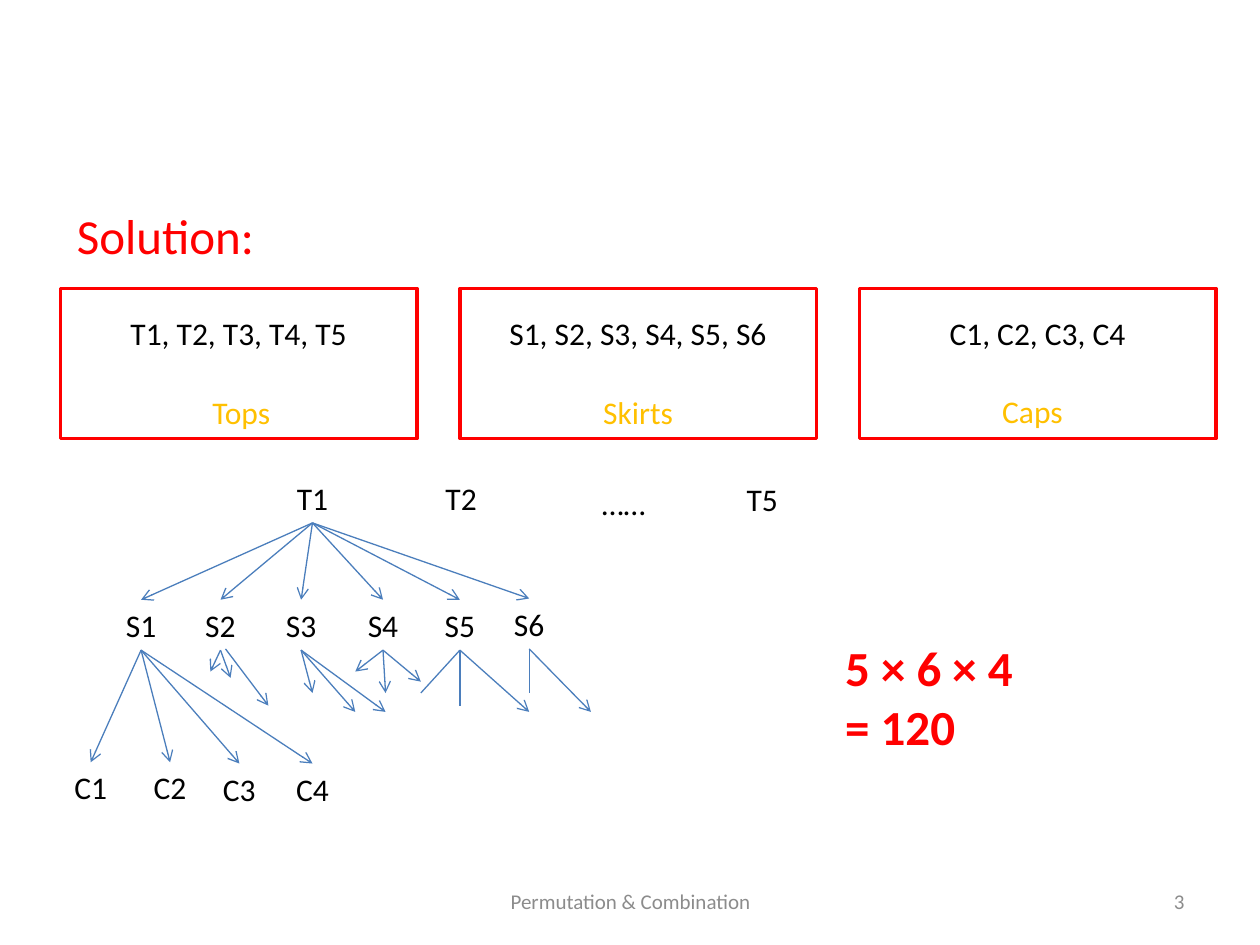
from dataclasses import dataclass

from lxml.etree import SubElement
from pptx import Presentation
from pptx.dml.color import RGBColor as Rgb
from pptx.enum.shapes import MSO_CONNECTOR as Link, MSO_SHAPE as Shape
from pptx.enum.text import MSO_ANCHOR as Anchor, PP_ALIGN as Align
from pptx.oxml.ns import qn
from pptx.util import Inches, Pt


@dataclass(frozen=True)
class Theme:
    font: str = "Calibri"
    ink: str = "000000"
    red: str = "FF0000"
    gold: str = "FFC000"
    blue: str = "4B7EBC"
    gray: str = "8C8C8C"
    big: int = 28
    body: int = 18
    small: int = 12
    frame: float = 2
    thin: float = 0.75


theme = Theme()


def color(code):
    return Rgb.from_string(code)


def write(shape, text, size=theme.body, ink=theme.ink, bold=False,
          align=Align.LEFT, anchor=Anchor.TOP, wrap=False):
    """Fill a shape with formatted text, one paragraph a line."""
    frame = shape.text_frame
    frame.text = text
    frame.word_wrap = wrap
    frame.vertical_anchor = anchor
    for para in frame.paragraphs:
        para.alignment = align
        font = para.runs[0].font
        font.name, font.size, font.bold = theme.font, Pt(size), bold
        font.color.rgb = color(ink)


def label(slide, text, x, y, w, h=Inches(0.4), **form):
    write(slide.shapes.add_textbox(x, y, w, h), text, **form)


def node(slide, text, x, y):
    """Label centred on x, wide enough for the longest on one line."""
    w = Inches(0.6)
    label(slide, text, x - w // 2, y, w, align=Align.CENTER)


def line(slide, start, end, head=True):
    link = slide.shapes.add_connector(Link.STRAIGHT, *start, *end)
    link.line.color.rgb = color(theme.blue)
    link.line.width = Pt(theme.thin)
    props = link._element.spPr
    if head:
        SubElement(props.find(qn("a:ln")), qn("a:tailEnd"), type="arrow")
    SubElement(props, qn("a:effectLst"))


def heading(slide, x, y, w, h):
    title = slide.shapes.title
    title.left, title.top, title.width, title.height = x, y, w, h
    write(title, "Solution:", size=theme.big, ink=theme.red)


def card(slide, x, y, w, h, items, name, shift, drop):
    """Framed set of choices with its name below."""
    box = slide.shapes.add_shape(Shape.RECTANGLE, x, y, w, h)
    box.shadow.inherit = False
    box.fill.background()
    box.line.color.rgb = color(theme.red)
    box.line.width = Pt(theme.frame)
    label(slide, items, x, y + Inches(0.15), w, align=Align.CENTER)
    label(slide, name, x + shift, y + drop, w, ink=theme.gold,
          align=Align.CENTER)


def cards(slide, x, y, w, h):
    gap = Inches(0.34)
    wide = (w - 2 * gap) // 3
    sets = [("T1, T2, T3, T4, T5", "Tops", 0.02, 0.78),
            ("S1, S2, S3, S4, S5, S6", "Skirts", 0, 0.78),
            ("C1, C2, C3, C4", "Caps", -0.04, 0.77)]
    for i, (items, name, shift, drop) in enumerate(sets):
        card(slide, x + i * (wide + gap), y, wide, h, items, name,
             Inches(shift), Inches(drop))


def tree(slide, x, y):
    """Choice tree: tops, then skirts, then caps."""
    def at(dx, dy):
        return x + Inches(dx), y + Inches(dy)

    tall = 0.4
    tops = [("T1", 2, 0), ("T2", 3.18, 0), ("……", 4.47, 0.04), ("T5", 5.57, 0.01)]
    skirts = [("S1", 0.64, 1.01), ("S2", 1.27, 1.01), ("S3", 1.91, 1.01),
              ("S4", 2.56, 1.01), ("S5", 3.17, 1.01), ("S6", 3.72, 1)]
    caps = [("C1", 0.24, 2.3), ("C2", 0.87, 2.3), ("C3", 1.42, 2.31),
            ("C4", 2, 2.31)]
    for text, dx, dy in tops + skirts + caps:
        node(slide, text, *at(dx, dy))

    # Full branches of the first top and the first skirt
    for (_, px, py), kids in ((tops[0], skirts), (skirts[0], caps)):
        for _, dx, dy in kids:
            line(slide, at(px, py + tall), at(dx, dy))

    # Short branches of the other skirts: end x, end y, arrowhead
    stubs = [
        [(1.19, 1.58, True), (1.35, 1.63, True)],
        [(2.34, 1.9, True), (2, 1.75, True), (2.58, 1.9, True)],
        [(2.34, 1.58, True), (2.58, 1.75, True), (2.86, 1.66, True)],
        [(2.86, 1.75, False), (3.17, 1.85, False), (3.72, 1.9, True)],
        [(3.72, 1.75, False), (4.21, 1.9, True)],
    ]
    for (_, px, py), ends in zip(skirts[1:], stubs):
        for dx, dy, head in ends:
            line(slide, at(px, py + tall), at(dx, dy), head)
    line(slide, at(1.31, 1.4), at(1.65, 1.85))


def footer(slide, x, y, w, h):
    form = dict(size=theme.small, ink=theme.gray, anchor=Anchor.MIDDLE, wrap=True)
    wide, num = Inches(3.17), Inches(2.33)
    label(slide, "Permutation & Combination", x, y, wide, h,
          align=Align.CENTER, **form)
    label(slide, "3", x + w - num, y, num, h, align=Align.RIGHT, **form)


def main():
    deck = Presentation()
    deck.slide_width, deck.slide_height = Inches(10), Inches(7.5)
    slide = deck.slides.add_slide(deck.slide_layouts[5])
    heading(slide, Inches(0.51), Inches(1.58), Inches(1.71), Inches(0.57))
    cards(slide, Inches(0.48), Inches(2.29), Inches(9.17), Inches(1.19))
    tree(slide, Inches(0.48), Inches(3.75))
    # Result
    label(slide, "5 × 6 × 4\n= 120", Inches(6.61), Inches(5.01), Inches(1.71),
          Inches(1.04), size=theme.big, ink=theme.red, bold=True, wrap=True)
    footer(slide, Inches(3.42), Inches(6.95), Inches(6.08), Inches(0.4))
    deck.save("out.pptx")


if __name__ == "__main__":
    main()
